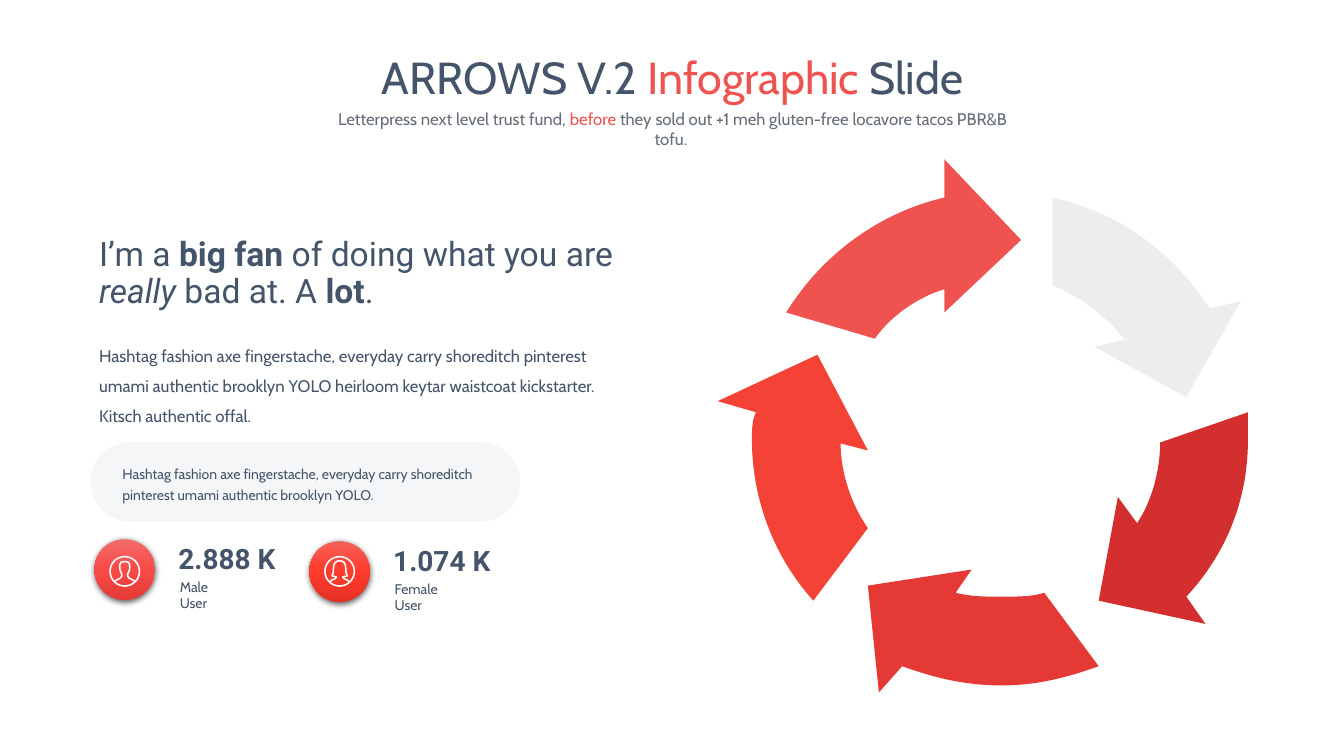
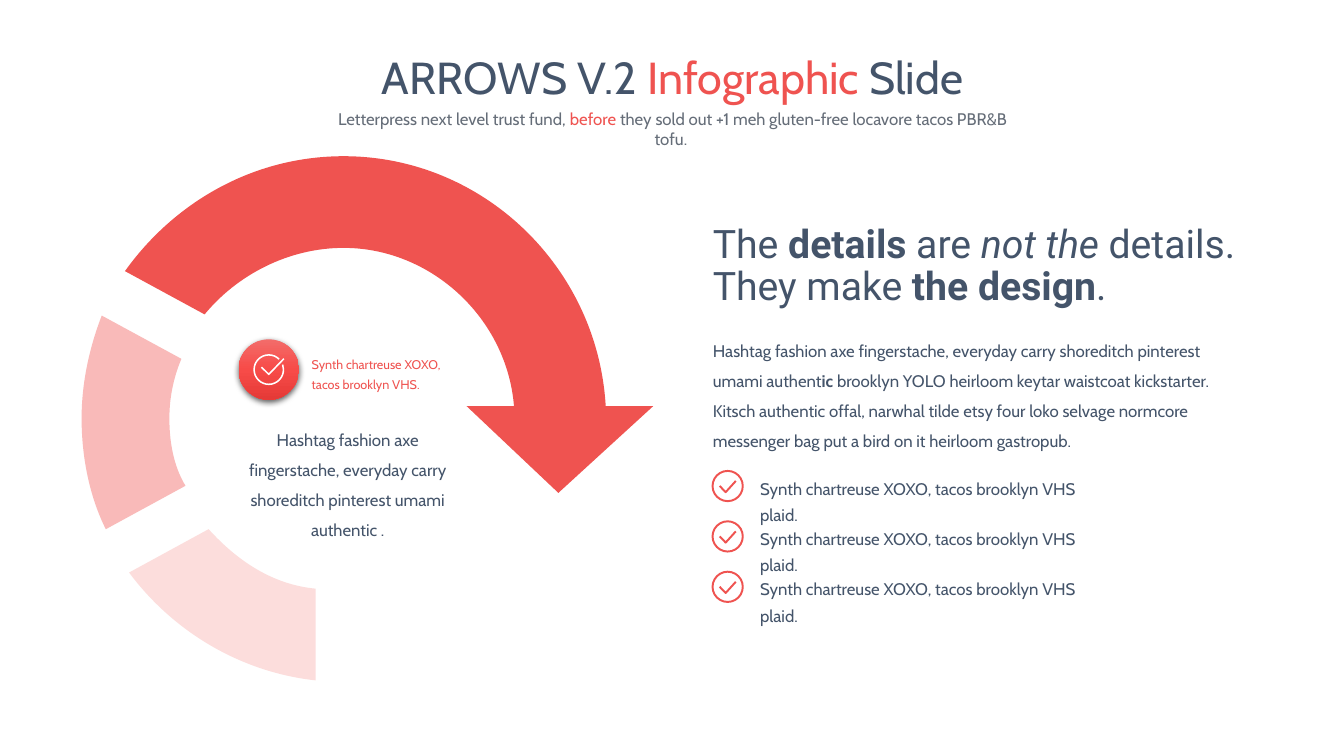
from lxml.etree import SubElement
from pptx import Presentation
from pptx.dml.color import RGBColor
from pptx.enum.shapes import MSO_SHAPE as Preset
from pptx.enum.text import MSO_ANCHOR as Anchor, PP_ALIGN as Align
from pptx.oxml.ns import qn
from pptx.util import Pt

NAVY, GREY, CORAL, WHITE = "44546A", "656D78", "EF5350", "FFFFFF"
CORAL_BLEND = ("F36C6A", "F74B48", "E53A37")
SCARLET_BLEND = ("F86159", "FE3B2D", "E53124")
HEADING_FONT, BODY_FONT = "Roboto", "Cabin"
BADGE = 43.2
USER_ICON_MIDDLE = 408.1

TITLE = [("ARROWS V.2 ", ""), ("Infographic ", CORAL), ("Slide", "")]
SUBTITLE = [
    ("Letterpress next level trust fund, ", ""), ("before", CORAL),
    (" they sold out +1 meh gluten-free locavore tacos PBR&B tofu. ", ""),
]

FAN_HEADING = [
    ("I’m a ", ""), ("big fan ", "b"), ("of doing what you are ", ""),
    ("really", "i"), (" bad at. A ", ""), ("lot", "b"), (".", ""),
]
FAN_BODY = [(
    "Hashtag fashion axe fingerstache, everyday carry shoreditch pinterest umami "
    "authentic brooklyn YOLO heirloom keytar waistcoat kickstarter. "
    "Kitsch authentic offal.", "")]
PILL_TEXT = [(
    "Hashtag fashion axe fingerstache, everyday carry shoreditch pinterest umami "
    "authentic brooklyn YOLO.", "")]

USER_RING = [
    (0, -10.5), (5.8, -10.5, 10.5, -5.8, 10.5, 0), (10.5, 5.8, 5.8, 10.5, 0, 10.5),
    (-5.8, 10.5, -10.5, 5.8, -10.5, 0), (-10.5, -5.8, -5.8, -10.5, 0, -10.5),
]
MALE_HALF = [
    (-7.2, 7), (-5.8, 6, -5, 5.6, -3.2, 4.9), (-1.8, 3.8, -1.8, 3.1, -2.2, 1.7),
    (-2.9, 0.2, -3.6, -0.5, -3.6, -3.4), (-3.6, -7, -1.8, -7, 0, -7),
]
FEMALE_HALF = [
    (-7, 7.4), (-5.8, 6.2, -4.6, 5.8, -3, 5.2), (-2.2, 4.8, -2.2, 4.4, -2.3, 4),
    (-3.4, 4, -4.6, 3.7, -5.5, 3.3), (-4.5, 2, -4.4, 0, -4.4, -2.2),
    (-4.4, -6, -2.5, -7.5, 0, -7.5),
]
USER_STATS = [
    (67.5, 385.2, "2.888 K", "Male User", 40, CORAL_BLEND, MALE_HALF),
    (221, 386.6, "1.074 K", "Female User", 50, SCARLET_BLEND, FEMALE_HALF),
]

CYCLE_ARROWS = [
    (CORAL, [
        (729.4, 171.4), (674.6, 113.8), (674.6, 141.1),
        (627.8, 151.9, 586.8, 182.2, 561.6, 223.2), (625, 241.9),
        (635.8, 226.1, 655.2, 212.4, 674.6, 206.6), (674.6, 223.2)]),
    ("F44336", [
        (583.9, 253.4), (512.6, 286.6), (540, 294.5),
        (537.1, 300.2, 537.1, 308.2, 537.1, 313.9),
        (537.1, 357.8, 553.7, 398.9, 581, 429.1), (619.9, 377.3),
        (608.4, 360.7, 600.5, 338.4, 600.5, 316.8), (619.9, 321.8)]),
    ("E53935", [
        (694.1, 406.8), (619.9, 418.3), (627.8, 494.6), (644.4, 475.9),
        (666.7, 483.8, 688.3, 489.6, 715.7, 489.6),
        (740.9, 489.6, 762.5, 483.8, 784.8, 475.9), (745.9, 423.4),
        (738, 426.2, 726.5, 426.2, 715.7, 426.2),
        (702, 426.2, 694.1, 426.2, 682.6, 423.4)]),
    ("D32F2F", [
        (891.4, 294.5), (828.7, 316.1), (828.7, 335.5, 823, 357.8, 812.2, 373.7),
        (798.5, 355), (784.8, 429.1), (861.1, 445.7), (847.4, 426.2),
        (875.5, 396, 891.4, 357.8, 891.4, 313.9)]),
    ("ECEDEE", [
        (751.7, 141.1), (751.7, 203.8), (773.3, 212.4, 789.8, 226.1, 803.5, 242.6),
        (781.9, 247.7), (847.4, 283.7), (886.3, 215.3), (864, 220.3),
        (839.5, 182.2, 801.4, 151.9, 751.7, 141.1)]),
]

SWEEP_PARTS = [
    ("FCDDDC", [
        (149, 378), (92.2, 409), (123.8, 451.4, 172.1, 480.2, 225.4, 486),
        (225.4, 420.5), (194.4, 417.6, 169.2, 400.3, 149, 378)]),
    ("F9BAB9", [
        (72.7, 225.4), (64.1, 247.7, 58.3, 272.9, 58.3, 298.8),
        (58.3, 326.9, 64.1, 355, 75.6, 378), (132.5, 347),
        (123.8, 332.6, 121, 315.4, 121, 298.8),
        (121, 284.4, 123.8, 270, 129.6, 256.3)]),
    (CORAL, [
        (432.7, 290.2), (427, 190.8, 344.9, 111.6, 245.5, 111.6),
        (180, 111.6, 123.8, 145.4, 89.3, 193.7), (146.2, 224.6),
        (169.2, 196.6, 205.9, 177.1, 245.5, 177.1),
        (308.2, 177.1, 362.2, 227.5, 367.2, 290.2),
        (333.4, 290.2), (398.9, 352.1), (466.6, 290.2)]),
]
SWEEP_NOTE = [("Synth chartreuse XOXO, tacos brooklyn VHS.", "")]
SWEEP_BODY = [(
    "Hashtag fashion axe fingerstache, everyday carry shoreditch pinterest umami "
    "authentic .", "")]
BADGE_RING = [
    (9.9, -3.6), (10.3, -2.4, 10.5, -1.2, 10.5, 0), *USER_RING[2:],
    (2.8, -10.5, 5.4, -9.4, 7.4, -7.4),
]
BADGE_CHECK = [(-5.2, -1.7), (0, 3.4), (10.8, -7.8)]

DETAILS_HEADING = [
    ("The ", ""), ("details", "b"), (" are ", ""), ("not the ", "i"),
    ("details. They make ", ""), ("the design", "b"), (".", ""),
]
DETAILS_BODY = [
    ("Hashtag fashion axe fingerstache, everyday carry shoreditch pinterest umami "
     "authent", ""), ("ic ", "b"),
    ("brooklyn YOLO heirloom keytar waistcoat kickstarter. Kitsch authentic offal, "
     "narwhal tilde etsy four loko selvage normcore messenger bag put a bird on it "
     "heirloom gastropub.", ""),
]
CHECKLIST = ["Synth chartreuse XOXO, tacos brooklyn VHS plaid."] * 3
LIST_CHECK = [(-5.7, 0), (-1.4, 4.4), (5.8, -3.6)]


def rgb(color):
    return RGBColor.from_string(color)


def write(frame, runs, size, font=BODY_FONT, color=NAVY, align=Align.LEFT,
          spacing=1.0, inset=(7.2, 3.6)):
    frame.word_wrap = True
    frame.margin_left = frame.margin_right = Pt(inset[0])
    frame.margin_top = frame.margin_bottom = Pt(inset[1])
    paragraph = frame.paragraphs[0]
    paragraph.alignment, paragraph.line_spacing = align, spacing
    for words, style in runs:
        run = paragraph.add_run()
        run.text = words
        run.font.name, run.font.size = font, Pt(size)
        run.font.bold, run.font.italic = style == "b", style == "i"
        run.font.color.rgb = rgb(style if len(style) == 6 else color)


def add_text(slide, box, runs, size, **options):
    frame = slide.shapes.add_textbox(*map(Pt, box)).text_frame
    write(frame, runs, size, **options)


def paint(shape, fill=None, line=None, width=1.0):
    shape.shadow.inherit = False
    if fill:
        shape.fill.solid()
        shape.fill.fore_color.rgb = rgb(fill)
    else:
        shape.fill.background()
    if line:
        shape.line.color.rgb = rgb(line)
        shape.line.width = Pt(width)
    else:
        shape.line.fill.background()


def pairs(numbers):
    return list(zip(numbers[::2], numbers[1::2]))


def mirrored(half):
    points = [(-x, y) for segment in half for x, y in pairs(segment)][::-1]
    return [sum(points[i:i + 3], ()) for i in range(1, len(points), 3)]


def add_outline(slide, contours, center=(0, 0), closed=False, **colors):
    def spot(point):
        return Pt(center[0] + point[0]), Pt(center[1] + point[1])

    builder = slide.shapes.build_freeform(*spot(contours[0][0]))
    for index, contour in enumerate(contours):
        if index:
            builder.move_to(*spot(contour[0]))
        builder.add_line_segments([spot(s[-2:]) for s in contour[1:]], close=closed)
    shape = builder.convert_to_shape()
    segments = [s for contour in contours for s in contour[1:]]
    for step, segment in zip(list(shape.element.iter(qn("a:lnTo"))), segments):
        if len(segment) == 6:
            curve = step.makeelement(qn("a:cubicBezTo"))
            for x, y in map(spot, pairs(segment)):
                SubElement(curve, qn("a:pt"), x=str(x - shape.left), y=str(y - shape.top))
            step.getparent().replace(step, curve)
    paint(shape, **colors)


def add_circle(slide, center, diameter, **colors):
    corner = [Pt(c - diameter / 2) for c in center]
    circle = slide.shapes.add_shape(Preset.OVAL, *corner, Pt(diameter), Pt(diameter))
    paint(circle, **colors)
    return circle


def add_badge(slide, center, blend):
    badge = add_circle(slide, center, BADGE, fill=blend[0])
    badge.fill.gradient()
    properties = badge.element.spPr
    gradient = properties.find(qn("a:gradFill"))
    stops = gradient.find(qn("a:gsLst"))
    for stop in list(stops):
        stops.remove(stop)
    for position, color in zip((0, 50000, 100000), blend):
        stop = SubElement(stops, qn("a:gs"), pos=str(position))
        SubElement(stop, qn("a:srgbClr"), val=color)
    gradient.find(qn("a:lin")).set("ang", "5400000")
    shadow = SubElement(
        properties.find(qn("a:effectLst")), qn("a:outerShdw"), blurRad=str(Pt(4.5)),
        dist=str(Pt(1.5)), dir="5400000", algn="ctr", rotWithShape="0")
    shade = SubElement(shadow, qn("a:srgbClr"), val="000000")
    SubElement(shade, qn("a:alpha"), val="63000")


def add_titled_slide(deck):
    slide = deck.slides.add_slide(deck.slide_layouts[6])
    add_text(slide, (183.1, 31.9, 594.7, 46), TITLE, 32, align=Align.CENTER)
    add_text(slide, (230.4, 74.2, 500.4, 21.6), SUBTITLE, 12, color=GREY,
             align=Align.CENTER)
    return slide


def add_parts(slide, parts):
    for color, outline in parts:
        add_outline(slide, [outline], closed=True, fill=color)


def add_user_stat(slide, left, top, value, label, label_width, blend, half):
    center = (left + BADGE / 2, top + BADGE / 2)
    add_badge(slide, center, blend)
    add_text(slide, (left + 52.8, top - 2, 90, 31.7), [(value, "b")], 20,
             font=HEADING_FONT)
    add_text(slide, (left + 60.9, top + 27.7, label_width, 12.2), [(label, "")], 10,
             inset=(0, 0))
    add_outline(slide, [USER_RING, half + mirrored(half)],
                (center[0], USER_ICON_MIDDLE), line=WHITE, width=1.1)


def build_cycle(deck):
    slide = add_titled_slide(deck)
    add_parts(slide, CYCLE_ARROWS)
    add_text(slide, (63.7, 166.3, 393.1, 59.8), FAN_HEADING, 24, font=HEADING_FONT,
             spacing=0.9)
    add_text(slide, (63.7, 235.9, 383, 72.7), FAN_BODY, 12, spacing=1.5)
    pill = slide.shapes.add_shape(
        Preset.ROUNDED_RECTANGLE, *map(Pt, (64.8, 315.8, 306.7, 56.9)))
    pill.adjustments[0] = 0.5
    paint(pill, fill="D6DCE5")
    tint = pill.element.spPr.find(qn("a:solidFill")).find(qn("a:srgbClr"))
    SubElement(tint, qn("a:alpha"), val="25000")
    pill.text_frame.vertical_anchor = Anchor.MIDDLE
    write(pill.text_frame, PILL_TEXT, 10, spacing=1.3, inset=(14.4, 3.6))
    for stat in USER_STATS:
        add_user_stat(slide, *stat)


def build_sweep(deck):
    slide = add_titled_slide(deck)
    add_parts(slide, SWEEP_PARTS)
    add_text(slide, (222.7, 251.8, 94, 33.8), SWEEP_NOTE, 9, color=CORAL,
             spacing=1.3, inset=(0, 0))
    center = (192, 264)
    add_badge(slide, center, CORAL_BLEND)
    add_text(slide, (166.3, 295.9, 164.2, 92.2), SWEEP_BODY, 12,
             align=Align.CENTER, spacing=1.5)
    add_outline(slide, [BADGE_RING, BADGE_CHECK], center, line=WHITE, width=1.1)
    add_text(slide, (502.1, 156.7, 393.1, 68.4), DETAILS_HEADING, 28,
             font=HEADING_FONT, spacing=0.9)
    add_text(slide, (502.1, 232.3, 383, 94.3), DETAILS_BODY, 12, spacing=1.5)
    for row, item in enumerate(CHECKLIST):
        middle = (519.8, 347.2 + 36 * row)
        add_circle(slide, middle, 21.6, line=CORAL, width=1.38)
        add_outline(slide, [LIST_CHECK], middle, line=CORAL, width=1.38)
        add_text(slide, (535.9, middle[1] - 13.4, 255.6, 24.5), [(item, "")], 12,
                 spacing=1.3)


def main():
    deck = Presentation()
    deck.slide_width, deck.slide_height = Pt(960), Pt(540)
    build_cycle(deck)
    build_sweep(deck)
    deck.save("out.pptx")


if __name__ == "__main__":
    main()
